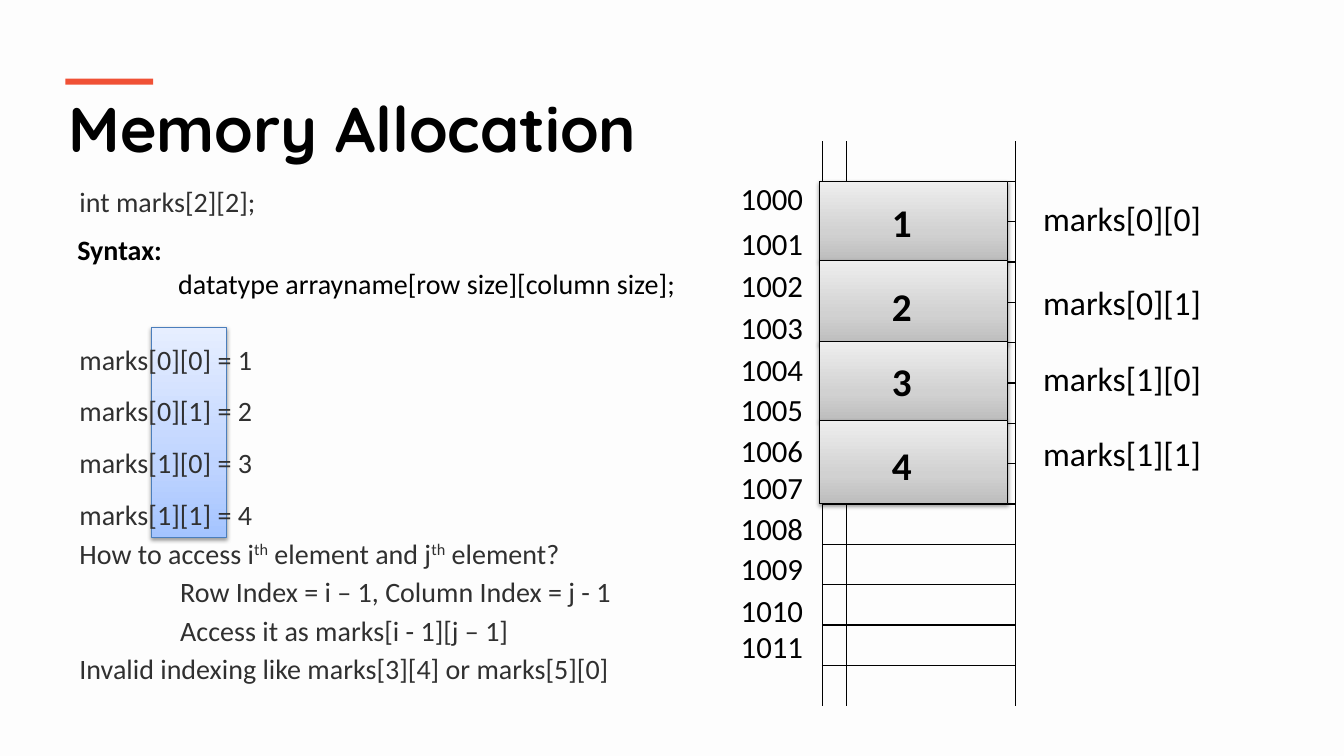
from lxml import etree
from pptx import Presentation
from pptx.dml.color import RGBColor
from pptx.enum import shapes, text
from pptx.oxml import ns, parse_xml
from pptx.util import Pt

TITLE = "Memory Allocation"
WIDE = dict(line_spacing=1.4, space_before=3.5)
TIGHT = dict(space_before=3.5)
INDENTED = dict(space_before=3.5, indent=72)
# Each paragraph: its runs (every second one is superscript), its format
BODY = [
    (["int marks[2][2];"], dict(line_spacing=1.4)),
    (["marks[0][0] = 1"], dict(line_spacing=1.4, space_before=78.8)),
    (["marks[0][1] = 2"], WIDE),
    (["marks[1][0] = 3"], WIDE),
    (["marks[1][1] = 4"], WIDE),
    (["How to access i", "th", " element and j", "th", " element?"], TIGHT),
    (["Row Index = i – 1, Column Index = j - 1"], INDENTED),
    (["Access it as marks[i - 1][j – 1]"], INDENTED),
    (["Invalid indexing like marks[3][4] or marks[5][0]"], TIGHT),
]
SYNTAX = [
    (["Syntax:"], dict(bold=True)),
    (["datatype arrayname[row size][column size];"], dict(indent=72)),
]
FIRST_ADDRESS = 1000
ADDRESS_TOPS = [124.6, 157, 187.2, 216.7, 247, 275.8,
                304.6, 331.2, 360.7, 388.8, 419, 445]
# Element, value, block top, block height, label top, value top
ELEMENTS = [
    ("marks[0][0]", "1", 129.6, 56.2, 138.2, 138.2),
    ("marks[0][1]", "2", 185.8, 59.8, 198, 198),
    ("marks[1][0]", "3", 244.1, 56.2, 252, 252),
    ("marks[1][1]", "4", 300.2, 59.8, 306, 311.8),
]
BLUE = [(0, "A4C4FF"), (35, "BFD4FF"), (100, "E6EEFF")]
GREY = [(0, "BDBDBD"), (35, "D1D1D1"), (100, "EEEEEE")]
ROWS, COLUMNS = 14, 9
COLUMN_WIDTH, ROW_HEIGHT = 17.25, 28.8
MERGED_ROWS = range(2, 6)
PLAIN_TABLE_STYLE = "{2D5ABB26-0587-4C30-8999-92F81FD0307C}"


def color(value):
    return RGBColor.from_string(value)


def set_font(font, size, fill="000000", bold=False, name="Calibri"):
    font.name, font.size, font.bold = name, Pt(size), bold
    font.color.rgb = color(fill)


def add_text(slide, paragraphs, left, top, width, height, size,
             fill="000000", bold=False, wrap=True):
    """Add a text box from a string or a list of (runs, format) paragraphs."""
    if isinstance(paragraphs, str):
        paragraphs = [([paragraphs], {})]
    box = slide.shapes.add_textbox(Pt(left), Pt(top), Pt(width), Pt(height))
    frame = box.text_frame
    frame.word_wrap = wrap
    for index, (runs, style) in enumerate(paragraphs):
        paragraph = frame.add_paragraph() if index else frame.paragraphs[0]
        paragraph.line_spacing = style.get("line_spacing", 1.0)
        paragraph.space_before = Pt(style.get("space_before", 0))
        if "indent" in style:
            paragraph._p.get_or_add_pPr().set("marL", str(Pt(style["indent"])))
        for position, words in enumerate(runs):
            run = paragraph.add_run()
            run.text = words
            set_font(run.font, size, fill, style.get("bold", bold))
            if position % 2:
                run._r.get_or_add_rPr().set("baseline", "30000")


def add_rectangle(slide, left, top, width, height):
    shape = slide.shapes.add_shape(shapes.MSO_SHAPE.RECTANGLE,
                                   Pt(left), Pt(top), Pt(width), Pt(height))
    shape.shadow.inherit = False
    return shape


def add_gradient_block(slide, left, top, width, height, stops, line):
    """Add a rectangle with an upward gradient and a soft shadow below."""
    shape = add_rectangle(slide, left, top, width, height)
    shape.fill.gradient()
    shape.fill.gradient_angle = 90
    properties = shape._element.spPr
    stop_list = properties.find(".//" + ns.qn("a:gsLst"))
    for stop in list(stop_list):
        stop_list.remove(stop)
    for position, value in stops:
        stop = etree.SubElement(stop_list, ns.qn("a:gs"), pos=str(position * 1000))
        etree.SubElement(stop, ns.qn("a:srgbClr"), val=value)
    shape.line.color.rgb = color(line)
    shape.line.width = Pt(0.75)
    properties.find(ns.qn("a:effectLst")).append(parse_xml(
        f'<a:outerShdw {ns.nsdecls("a")} blurRad="{Pt(3.1)}" dist="{Pt(1.6)}" '
        'dir="5400000" rotWithShape="0"><a:srgbClr val="000000">'
        '<a:alpha val="38000"/></a:srgbClr></a:outerShdw>'))


def set_borders(cell, sides):
    """Draw black lines on the given sides, listed in the order L, R, T, B."""
    properties = cell._tc.get_or_add_tcPr()
    for index, side in enumerate(sides):
        properties.insert(index, parse_xml(
            f'<a:ln{side} {ns.nsdecls("a")} w="{Pt(1)}"><a:solidFill>'
            f'<a:srgbClr val="000000"/></a:solidFill></a:ln{side}>'))


def add_memory_table(slide):
    frame = slide.shapes.add_table(ROWS, COLUMNS, Pt(570.2), Pt(100.8),
                                   Pt(COLUMNS * COLUMN_WIDTH), Pt(ROWS * ROW_HEIGHT))
    table = frame.table
    table.first_row = table.horz_banding = False
    table._tbl.tblPr.find(ns.qn("a:tableStyleId")).text = PLAIN_TABLE_STYLE
    for column in table.columns:
        column.width = Pt(COLUMN_WIDTH)
    for row in table.rows:
        row.height = Pt(ROW_HEIGHT)
    for row in range(ROWS):
        merged = row in MERGED_ROWS
        for column in range(COLUMNS):
            cell = table.cell(row, column)
            cell.margin_left = cell.margin_right = 0
            cell.margin_top = cell.margin_bottom = 0
            cell.fill.background()
            sides = ""
            if column == 1:
                sides += "L"
            if column in (0, COLUMNS - 1) or (merged and column == 1):
                sides += "R"
            if column and row:
                sides += "T"
            if column and row < ROWS - 1:
                sides += "B"
            set_borders(cell, sides)
        if merged:
            table.cell(row, 1).merge(table.cell(row, COLUMNS - 1))


def main():
    presentation = Presentation()
    presentation.slide_width, presentation.slide_height = Pt(960), Pt(540)
    slide = presentation.slides.add_slide(presentation.slide_layouts[5])
    slide.background.fill.solid()
    slide.background.fill.fore_color.rgb = color("FDFDFD")

    title = slide.shapes.title
    title.left, title.top, title.width, title.height = (
        Pt(41.8), Pt(60.5), Pt(877), Pt(61.9))
    title.text_frame.text = TITLE
    title.text_frame.vertical_anchor = text.MSO_ANCHOR.TOP
    paragraph = title.text_frame.paragraphs[0]
    paragraph.alignment = text.PP_ALIGN.LEFT
    set_font(paragraph.runs[0].font, 45, bold=True, name="Quicksand")

    accent = add_rectangle(slide, 46.8, 56.2, 62.6, 4.3)
    accent.fill.solid()
    accent.fill.fore_color.rgb = color("F05136")
    accent.line.fill.background()

    add_gradient_block(slide, 108, 234, 54, 150, BLUE, "4B7EBC")
    add_text(slide, BODY, 49.7, 118.8, 688.3, 295.2, 20, fill="303030")
    add_text(slide, SYNTAX, 48.2, 162.6, 491.8, 56, 20)

    add_memory_table(slide)
    for index, top in enumerate(ADDRESS_TOPS):
        add_text(slide, str(FIRST_ADDRESS + index), 522, top, 77.8, 33.8, 22)
    for _, _, top, height, _, _ in ELEMENTS:
        add_gradient_block(slide, 585.4, top, 134.6, height, GREY, "000000")
    for label, value, _, _, label_top, value_top in ELEMENTS:
        add_text(slide, label, 738, label_top, 128.2, 36, 24, wrap=False)
        add_text(slide, value, 630, value_top, 28.8, 41, 28, bold=True, wrap=False)

    presentation.save("out.pptx")


if __name__ == "__main__":
    main()
